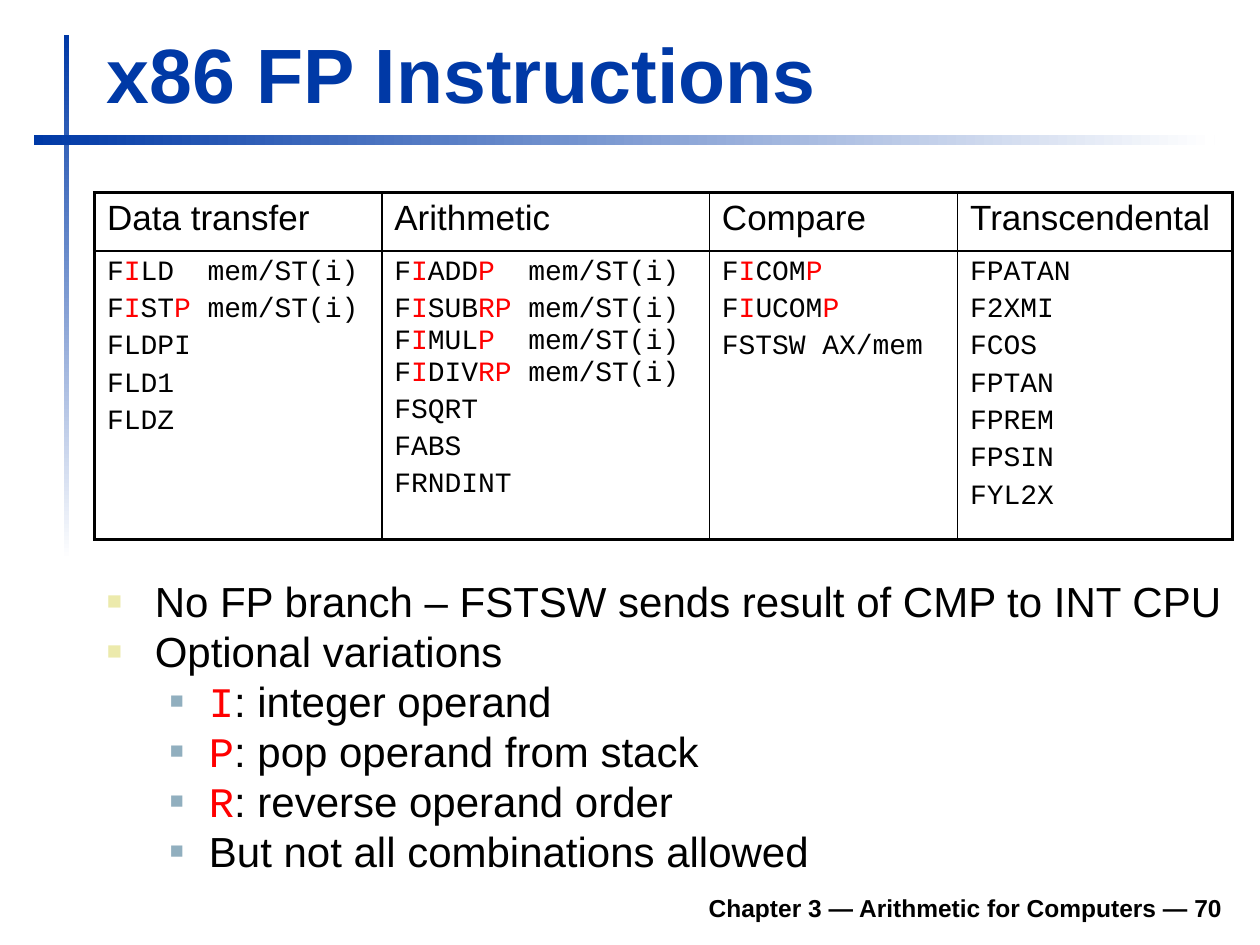
import pptx
import pptx.dml.color
import pptx.enum.shapes
import pptx.enum.text
import pptx.oxml
import pptx.oxml.ns
import pptx.util
import lxml.etree

Inches = pptx.util.Inches
Pt = pptx.util.Pt
COLORS = {"blue": "0039A6", "white": "FFFFFF", "black": "000000",
          "red": "FF0000", "sand": "ECEAAC", "steel": "91AFBF"}
RGB = {name: pptx.dml.color.RGBColor.from_string(value) for name, value in COLORS.items()}


def write_marked(paragraph, marked, size, font, accent_font):
    for line_number, line in enumerate(marked.split("\n")):
        if line_number:
            paragraph.add_line_break()
        for position, part in enumerate(line.split("|")):
            if part:
                run = paragraph.add_run()
                run.text = part
                accented = position % 2 == 1
                run.font.size = Pt(size)
                run.font.name = accent_font if accented else font
                run.font.color.rgb = RGB["red" if accented else "black"]


def add_bold_line(area, text, size, color, alignment):
    box = slide.shapes.add_textbox(*[Inches(length) for length in area])
    frame = box.text_frame
    frame.word_wrap = True
    frame.vertical_anchor = pptx.enum.text.MSO_ANCHOR.BOTTOM
    frame.text = text
    line = frame.paragraphs[0]
    line.alignment = alignment
    line.font.size = Pt(size)
    line.font.name = "Arial"
    line.font.bold = True
    line.font.color.rgb = RGB[color]


deck = pptx.Presentation()
deck.slide_width = Inches(10)
deck.slide_height = Inches(7.5)
slide = deck.slides.add_slide(deck.slide_layouts[6])

rules = [((0.51, 0.28, 0.04, 4.17), 270), ((0.27, 1.07, 9.37, 0.08), 0)]
for area, angle in rules:
    rule = slide.shapes.add_shape(pptx.enum.shapes.MSO_SHAPE.RECTANGLE,
                                  *[Inches(length) for length in area])
    rule.shadow.inherit = False
    rule.line.fill.background()
    rule.fill.gradient()
    rule.fill.gradient_angle = angle
    for stop, color in zip(rule.fill.gradient_stops, ("blue", "white")):
        stop.color.rgb = RGB[color]

add_bold_line((1.85, 6.98, 7.95, 0.39), "Chapter 3 — Arithmetic for Computers — 70",
              14, "black", pptx.enum.text.PP_ALIGN.RIGHT)
add_bold_line((0.75, 0.16, 9.03, 0.83), "x86 FP Instructions",
              44, "blue", pptx.enum.text.PP_ALIGN.LEFT)

notes = [
    (0, "No FP branch – FSTSW sends result of CMP to INT CPU"),
    (0, "Optional variations"),
    (1, "|I|: integer operand"),
    (1, "|P|: pop operand from stack"),
    (1, "|R|: reverse operand order"),
    (1, "But not all combinations allowed"),
]
bullet_styles = [(0.38, 0.38, "sand", 60), (0.81, 0.31, "steel", 55)]
notes_frame = slide.shapes.add_textbox(Inches(0.75), Inches(4.6), Inches(9.25), Inches(2.26)).text_frame
notes_frame.word_wrap = True
for index, (level, marked) in enumerate(notes):
    note = notes_frame.add_paragraph() if index else notes_frame.paragraphs[0]
    margin, hanging, color, percent = bullet_styles[level]
    note.level = level
    properties = note._p.get_or_add_pPr()
    properties.set("marL", str(Inches(margin)))
    properties.set("indent", str(-Inches(hanging)))
    for tag, attribute, value in [("a:buClr", None, None),
                                  ("a:buSzPct", "val", str(percent * 1000)),
                                  ("a:buFont", "typeface", "Arial"),
                                  ("a:buChar", "char", "■")]:
        element = lxml.etree.SubElement(properties, pptx.oxml.ns.qn(tag))
        if attribute:
            element.set(attribute, value)
        else:
            lxml.etree.SubElement(element, pptx.oxml.ns.qn("a:srgbClr")).set("val", COLORS[color])
    note.line_spacing = 0.8
    note.space_before = Pt(5.5 if index else 0)
    write_marked(note, marked, 24, "Arial", "Courier New")

instructions = {
    "Data transfer": ["F|I|LD  mem/ST(i)", "F|I|ST|P| mem/ST(i)", "FLDPI", "FLD1", "FLDZ"],
    "Arithmetic": ["F|I|ADD|P|  mem/ST(i)",
                   "F|I|SUB|RP| mem/ST(i)\nF|I|MUL|P|  mem/ST(i)\nF|I|DIV|RP| mem/ST(i)",
                   "FSQRT", "FABS", "FRNDINT"],
    "Compare": ["F|I|COM|P|", "F|I|UCOM|P|", "FSTSW AX/mem"],
    "Transcendental": ["FPATAN", "F2XMI", "FCOS", "FPTAN", "FPREM", "FPSIN", "FYL2X"],
}
column_widths = [2.28, 2.6, 1.97, 2.18]
row_heights = [0.46, 2.29]
table = slide.shapes.add_table(2, 4, Inches(0.75), Inches(1.53),
                               Inches(sum(column_widths)), Inches(sum(row_heights))).table
table.first_row = False
table.horz_banding = False
for column, width in zip(table.columns, column_widths):
    column.width = Inches(width)
for row, height in zip(table.rows, row_heights):
    row.height = Inches(height)

for column_index, (heading, codes) in enumerate(instructions.items()):
    for row_index, lines in enumerate([[heading], codes]):
        cell = table.cell(row_index, column_index)
        borders = {"lnL": 2.25 if column_index == 0 else 1,
                   "lnR": 2.25 if column_index == 3 else 1,
                   "lnT": 2.25 if row_index == 0 else 1.5,
                   "lnB": 2.25 if row_index == 1 else 1.5}
        cell_properties = cell._tc.get_or_add_tcPr()
        for side, weight in borders.items():
            border = lxml.etree.SubElement(cell_properties, pptx.oxml.ns.qn("a:" + side))
            border.set("w", str(Pt(weight)))
            ink = lxml.etree.SubElement(border, pptx.oxml.ns.qn("a:solidFill"))
            lxml.etree.SubElement(ink, pptx.oxml.ns.qn("a:srgbClr")).set("val", COLORS["black"])
        cell.fill.background()
        size, font = [(20, "Arial"), (16, "Courier New")][row_index]
        for index, marked in enumerate(lines):
            entry = cell.text_frame.add_paragraph() if index else cell.text_frame.paragraphs[0]
            entry.space_before = Pt(3.2 if index else 0)
            write_marked(entry, marked, size, font, font)

deck.save("out.pptx")
